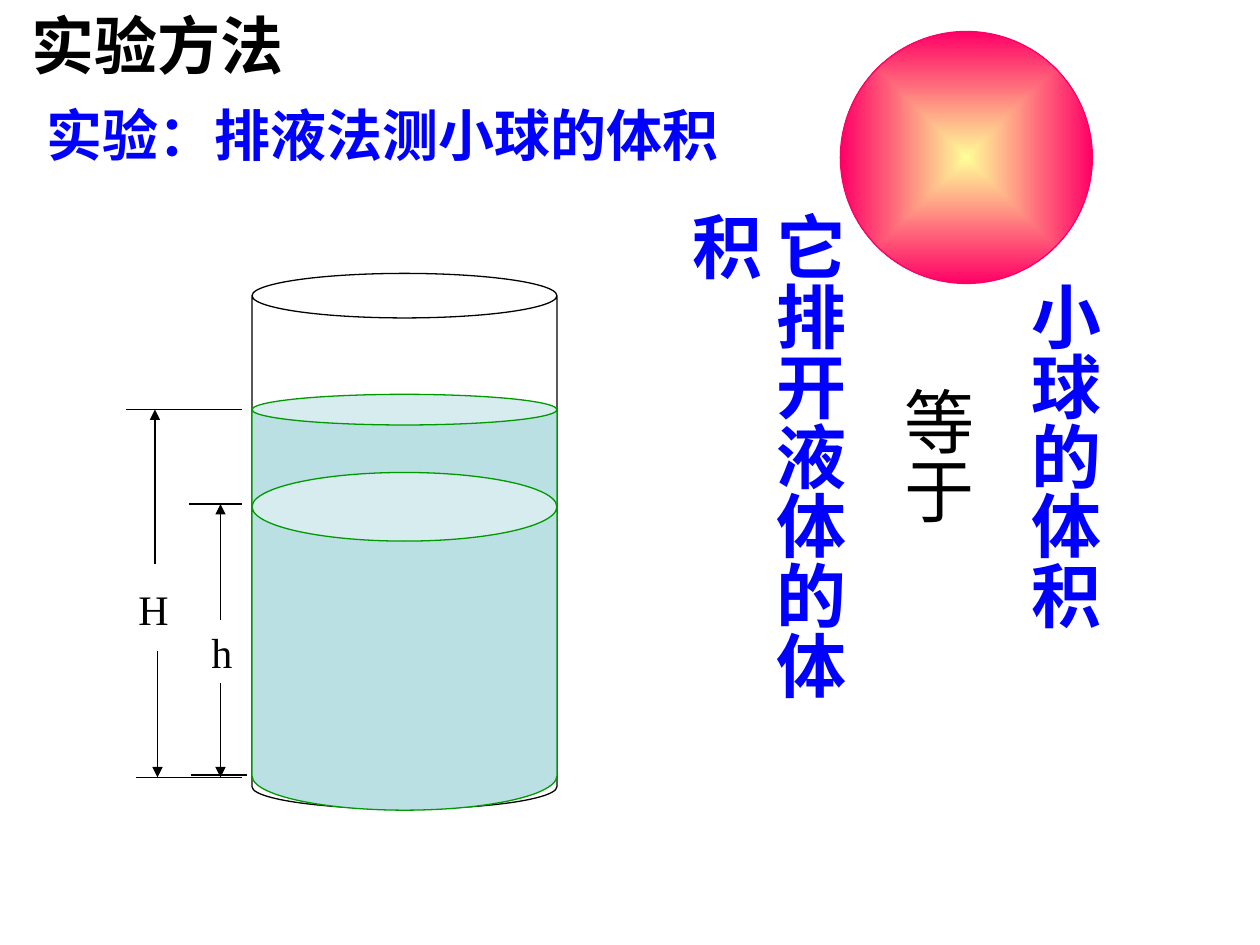
from lxml import etree
from pptx import Presentation
from pptx.dml.color import RGBColor
from pptx.enum.shapes import MSO_CONNECTOR as Link, MSO_SHAPE as Preset
from pptx.enum.text import MSO_ANCHOR as Anchor, MSO_AUTO_SIZE as AutoSize, PP_ALIGN as Align
from pptx.oxml import parse_xml
from pptx.oxml.ns import nsdecls, qn
from pptx.util import Inches, Pt

SERIF = "Times New Roman"
BLACK, BLUE, WATER, GREEN, PINK = "000000", "0000FF", "BBE0E3", "009900", "FF0066"


def color(value):
    """Turn a hex string into a colour."""
    return RGBColor.from_string(value)


def place(shape, box):
    """Move and size a shape to a box in inches."""
    shape.left, shape.top, shape.width, shape.height = map(Inches, box)


def outline(shape, value):
    """Give a shape or connector a thin line."""
    shape.line.color.rgb = color(value)
    shape.line.width = Pt(0.75)


def prepare(frame, side=0.1, end=0.05):
    """Set the margins, wrapping and growth of a text frame."""
    frame.margin_left = frame.margin_right = Inches(side)
    frame.margin_top = frame.margin_bottom = Inches(end)
    frame.word_wrap = True
    frame.auto_size = AutoSize.SHAPE_TO_FIT_TEXT
    frame.vertical_anchor = Anchor.TOP


def write(para, text, size, value=BLACK, bold=False, align=Align.LEFT, font=SERIF):
    """Add one formatted run to a paragraph."""
    para.alignment = align
    span = para.add_run()
    span.text = text
    span.font.name = font
    span.font.size = Pt(size)
    span.font.bold = bold
    span.font.color.rgb = color(value)


def add_label(page, box, text, size, **style):
    """Add a text box with a single paragraph."""
    shape = page.shapes.add_textbox(*map(Inches, box))
    prepare(shape.text_frame)
    write(shape.text_frame.paragraphs[0], text, size, **style)


def add_line(page, start, end, arrow=False):
    """Draw a straight line, with an arrowhead at its end if asked."""
    line = page.shapes.add_connector(Link.STRAIGHT, *map(Inches, (*start, *end)))
    outline(line, BLACK)
    properties = line._element.spPr
    if arrow:
        etree.SubElement(properties.find(qn("a:ln")), qn("a:tailEnd"), type="triangle")
    etree.SubElement(properties, qn("a:effectLst"))


def add_title(page, box):
    """Format the title placeholder."""
    title = page.shapes.title
    place(title, box)
    prepare(title.text_frame)
    write(title.text_frame.paragraphs[0], "实验方法", 36, bold=True, align=Align.CENTER, font="Karla")


def add_beaker(page, box):
    """Draw the vessel and the water before and after the ball goes in."""
    left, top, width, _ = box
    cans = [
        (0, 4.25, 0.146, "FFFFFF", BLACK),
        (0.96, 1.08, 0.225, WATER, GREEN),
        (1.58, 2.68, 0.225, WATER, GREEN),
    ]
    for drop, height, rim, fill, edge in cans:
        can = page.shapes.add_shape(Preset.CAN, *map(Inches, (left, top + drop, width, height)))
        can.adjustments[0] = rim
        can.shadow.inherit = False
        can.fill.solid()
        can.fill.fore_color.rgb = color(fill)
        outline(can, edge)


def add_height(page, box, letter, shafts, gap, floor, label):
    """Draw a height mark: two ticks, two arrows and a letter in the gap."""
    left, top, width, height = box
    bottom = top + height
    upper, lower = (left + shift for shift in shafts)
    gap_top, gap_bottom = (top + shift for shift in gap)
    floor_start, floor_end, rise = floor
    floor_y = bottom - rise
    add_line(page, (left + floor_start, floor_y), (left + floor_end, floor_y))
    add_line(page, (left, top), (left + width, top))
    add_line(page, (upper, gap_top), (upper, top), arrow=True)
    add_line(page, (lower, gap_bottom), (lower, bottom), arrow=True)
    shift_x, shift_y, label_width = label
    add_label(page, (left + shift_x, top + shift_y, label_width, 0.5), letter, 24)


def add_ball(page, box):
    """Draw the ball with a gradient from its centre."""
    ball = page.shapes.add_shape(Preset.OVAL, *map(Inches, box))
    ball.shadow.inherit = False
    ball.fill.gradient()
    for stop, value in zip(ball.fill.gradient_stops, ("FFFF99", PINK)):
        stop.color.rgb = color(value)
    gradient = ball._element.spPr.find(qn("a:gradFill"))
    gradient.replace(gradient.find(qn("a:lin")), parse_xml(
        f'<a:path {nsdecls("a")} path="rect">'
        '<a:fillToRect l="50000" t="50000" r="50000" b="50000"/></a:path>'))
    outline(ball, PINK)


def add_conclusion(page, box):
    """Write the conclusion in vertical columns from right to left."""
    frame = page.shapes.add_textbox(*map(Inches, box)).text_frame
    prepare(frame, side=0.05, end=0.1)
    frame._txBody.bodyPr.set("vert", "eaVert")
    columns = [
        ("小球的体积", BLUE, True, Align.CENTER),
        ("等于", BLACK, False, Align.CENTER),
        ("它排开液体的体积", BLUE, True, Align.LEFT),
    ]
    for index, (text, value, bold, align) in enumerate(columns):
        para = frame.add_paragraph() if index else frame.paragraphs[0]
        if index:
            para.space_before = Pt(25)
        write(para, text, 40, value, bold, align)


def main():
    """Build the slide and save the deck."""
    deck = Presentation()
    deck.slide_width, deck.slide_height = Inches(10), Inches(7.5)
    page = deck.slides.add_slide(deck.slide_layouts[5])
    add_title(page, (0, 0, 2.5, 0.7))
    add_label(page, (0, 0.75, 6.08, 0.64), "实验：排液法测小球的体积", 32,
              value=BLUE, bold=True, align=Align.CENTER)
    add_beaker(page, (2, 2.17, 2.42, 4.25))
    add_height(page, (1.5, 4, 0.42, 2.17), "h", shafts=(0.25, 0.25), gap=(0.92, 1.42),
               floor=(0.02, 0.46, 0.02), label=(0.08, 0.92, 0.33))
    add_height(page, (1, 3.25, 0.92, 2.92), "H", shafts=(0.23, 0.25), gap=(1.23, 1.92),
               floor=(0.08, 0.92, 0), label=(0, 1.33, 0.75))
    add_ball(page, (6.67, 0.25, 2, 2))
    add_conclusion(page, (5.94, 1.58, 2.89, 4.58))
    deck.save("out.pptx")


if __name__ == "__main__":
    main()
